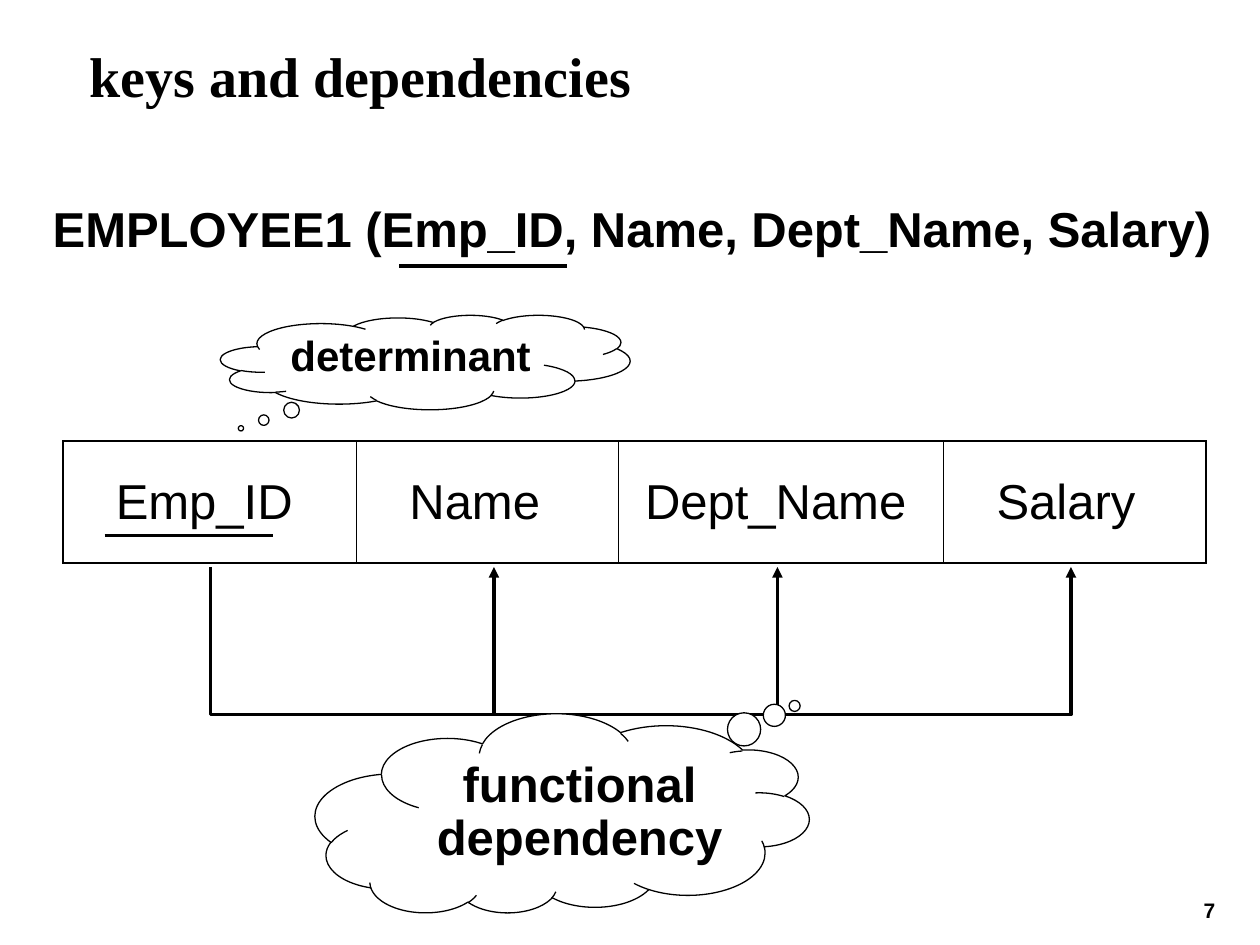
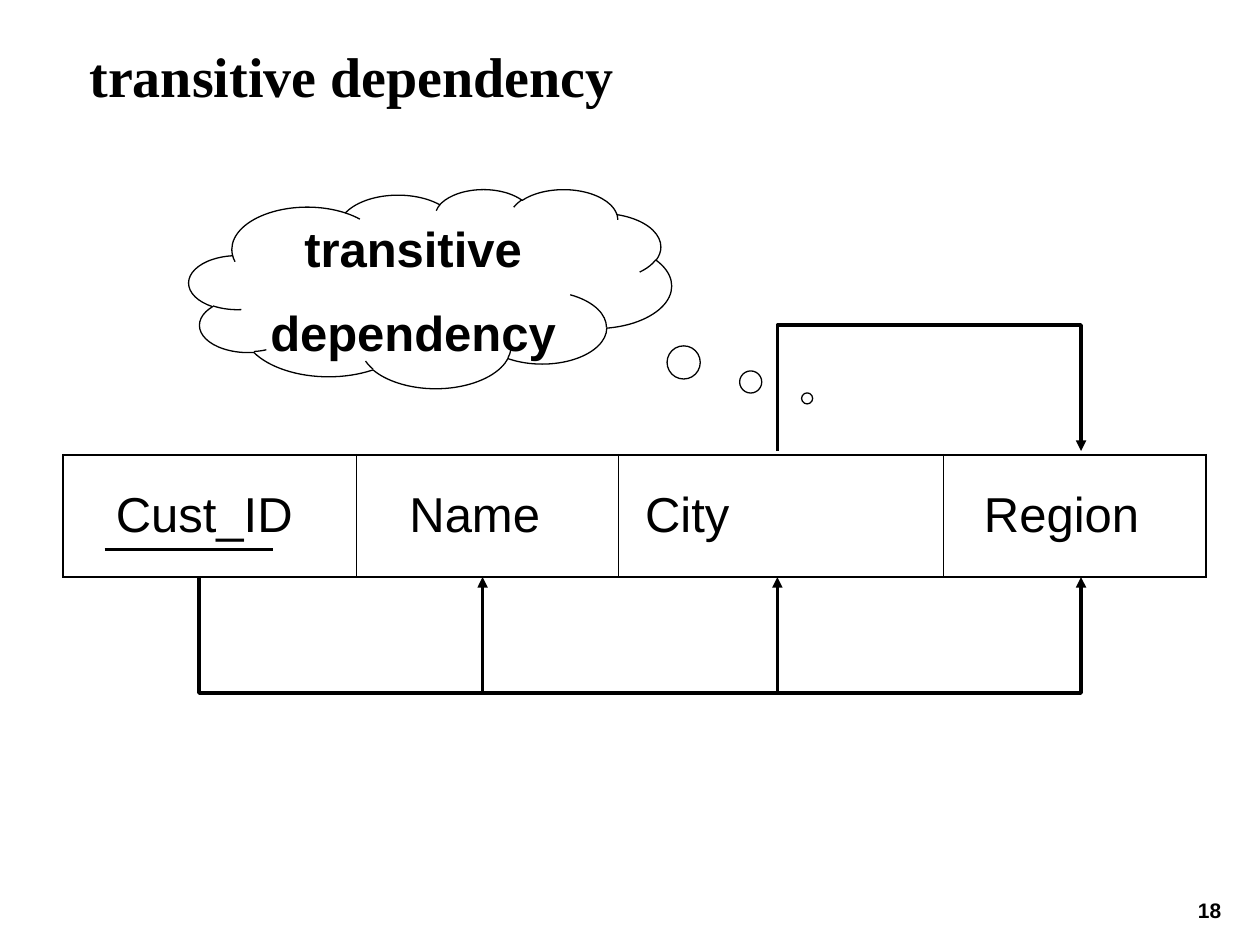
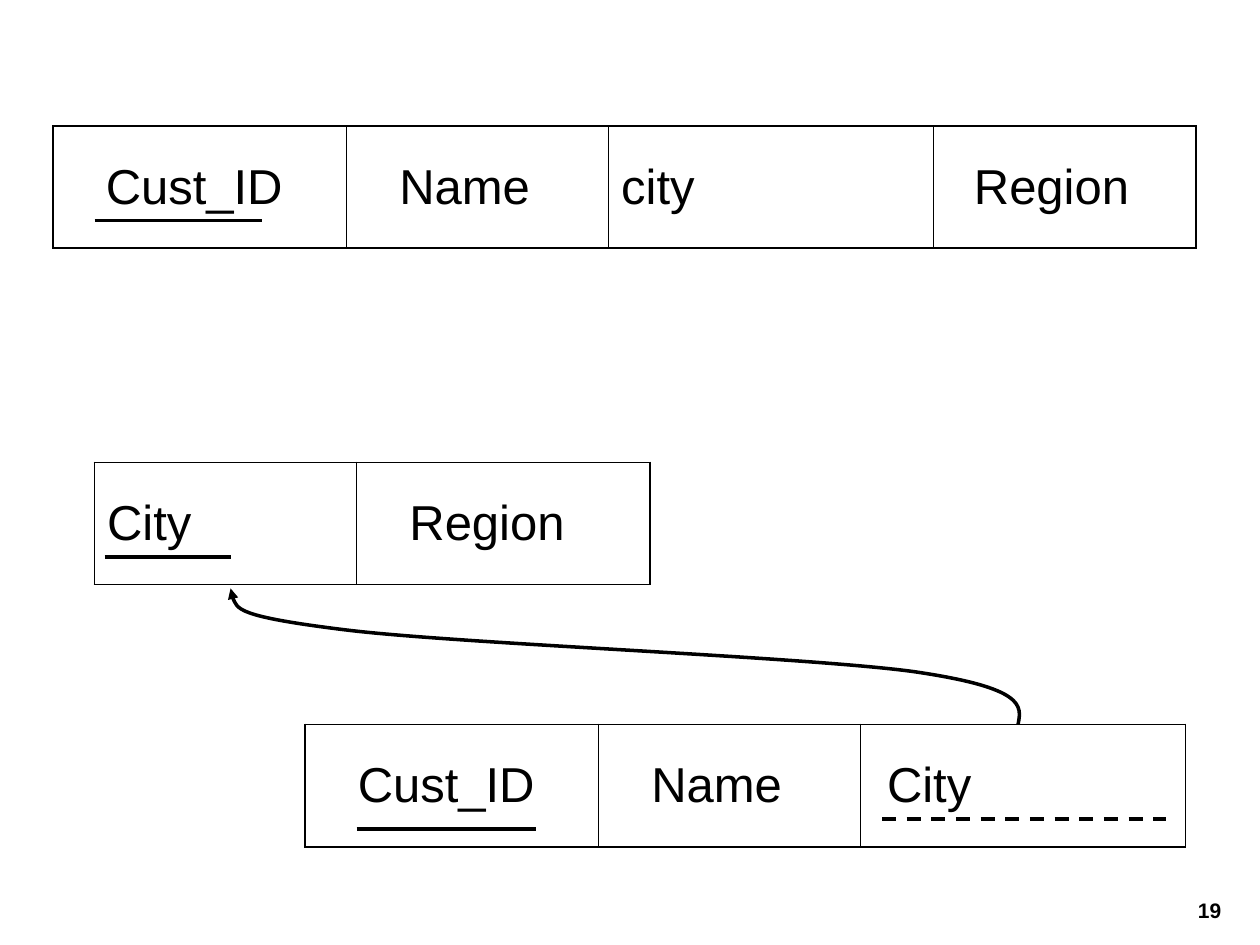
from dataclasses import dataclass

from pptx import Presentation
from pptx.dml.color import RGBColor
from pptx.enum.dml import MSO_LINE
from pptx.enum.shapes import MSO_CONNECTOR, MSO_SHAPE
from pptx.enum.text import MSO_ANCHOR as Anchor, PP_ALIGN as Align
from pptx.oxml.ns import qn
from pptx.oxml.xmlchemy import OxmlElement
from pptx.util import Inches, Pt


@dataclass(frozen=True)
class Theme:
    ink: RGBColor = RGBColor(0x00, 0x00, 0x00)
    paper: RGBColor = RGBColor(0xFF, 0xFF, 0xFF)
    body_font: str = "Arial"
    title_font: str = "Times New Roman"
    title: int = 32
    body: int = 28
    small_cloud: int = 24
    number: int = 12
    rule: float = 2
    cloud_line: float = 0.75
    outer_border: float = 1.08
    inner_border: float = 0.45


THEME = Theme()
PAD = (0.1, 0.05, 0.1, 0.05)
ROW_HEIGHT = 0.97
KEY, NAME, CITY, REGION = 2.33, 2.08, 2.58, 2.08  # column widths
DEEP, MIDDLE, SHALLOW, FLUSH = 0.32, 0.22, 0.11, 0  # label indents

# Content. Relations: left, top, columns of (label, indent, width)
# Rules: x from, x to, y, dashed
# Dependencies: determinant x, dependent xs, y of the row edge, y of the bus
# Clouds: box, bubble position, turn, size, lines
SLIDES = [
    dict(
        number="7",
        title="keys and dependencies",
        schema="EMPLOYEE1 (Emp_ID, Name, Dept_Name, Salary)",
        relations=[(0.5, 3.5, [("Emp_ID", DEEP, KEY), ("Name", DEEP, NAME),
                               ("Dept_Name", SHALLOW, CITY), ("Salary", DEEP, REGION)])],
        rules=[(3.17, 4.5, 2.11, False), (0.83, 2.17, 4.25, False)],
        dependencies=[(1.67, [3.92, 6.17, 8.5], 4.5, 5.67)],
        clouds=[
            ((2.5, 5.67, 3.92, 1.58), (-0.471, 0.543), 180, THEME.body,
             ["functional dependency"]),
            ((1.75, 2.5, 3.25, 0.75), (-0.45, 0.699), 0, THEME.small_cloud,
             ["determinant"]),
        ],
    ),
    dict(
        number="18",
        title="transitive dependency",
        relations=[(0.5, 3.61, [("Cust_ID", DEEP, KEY), ("Name", DEEP, NAME),
                                ("City", SHALLOW, CITY), ("Region", MIDDLE, REGION)])],
        rules=[(0.83, 2.17, 4.36, False)],
        dependencies=[(1.58, [3.83, 6.17, 8.58], 4.58, 5.5),
                      (6.17, [8.58], 3.58, 2.58)],
        clouds=[((1.5, 1.5, 3.83, 1.58), (0.781, 0.552), 0, THEME.body,
                 ["transitive", "dependency"])],
    ),
    dict(
        number="19",
        relations=[
            (2.42, 5.75, [("Cust_ID", DEEP, KEY), ("Name", DEEP, NAME),
                          ("City", SHALLOW, CITY)]),
            (0.75, 3.67, [("City", FLUSH, 2.08), ("Region", DEEP, 2.33)]),
            (0.42, 1, [("Cust_ID", DEEP, KEY), ("Name", DEEP, NAME),
                       ("city", FLUSH, CITY), ("Region", MIDDLE, REGION)]),
        ],
        rules=[(2.83, 4.25, 6.58, False), (7, 9.25, 6.5, True),
               (0.83, 1.83, 4.42, False), (0.75, 2.08, 1.75, False)],
        # Foreign key to primary key: start, then three points per curve
        reference=[(8.08, 5.75),
                   (8.11, 5.6), (8.14, 5.46), (7.25, 5.33),
                   (6.36, 5.21), (3.65, 5.11), (2.75, 5),
                   (1.85, 4.89), (1.84, 4.78), (1.83, 4.67)],
    ),
]


def write(frame, lines, *, size=THEME.body, font=THEME.body_font, bold=True,
          align=Align.CENTER, spacing=0.9, before=0.0, pad=PAD, anchor=Anchor.TOP):
    frame.word_wrap = True
    frame.vertical_anchor = anchor
    (frame.margin_left, frame.margin_top,
     frame.margin_right, frame.margin_bottom) = map(Inches, pad)
    for i, line in enumerate(lines):
        para = frame.add_paragraph() if i else frame.paragraphs[0]
        para.alignment, para.line_spacing = align, spacing
        para.space_before = Pt(before)
        run = para.add_run()
        run.text = line
        run.font.name, run.font.size, run.font.bold = font, Pt(size), bold
        run.font.color.rgb = THEME.ink


def add_text(slide, box, text, **style):
    write(slide.shapes.add_textbox(*map(Inches, box)).text_frame, [text], **style)


def ink_line(line, width=THEME.rule, dashed=False, arrow=False):
    line.color.rgb = THEME.ink
    line.width = Pt(width)
    if dashed:
        line.dash_style = MSO_LINE.DASH
    if arrow:
        tip = OxmlElement("a:tailEnd")
        tip.set("type", "triangle")
        line._get_or_add_ln().append(tip)


def add_rule(slide, start, end, **style):
    rule = slide.shapes.add_connector(MSO_CONNECTOR.STRAIGHT, *map(Inches, start + end))
    ink_line(rule.line, **style)
    rule._element.spPr.append(OxmlElement("a:effectLst"))


def add_arrow_path(slide, points, curved=False):
    corners = [(Inches(x), Inches(y)) for x, y in points]
    builder = slide.shapes.build_freeform(*corners[0])
    builder.add_line_segments(corners[1:], close=False)
    arrow = builder.convert_to_shape()
    if curved:
        steps = list(arrow._element.iter(qn("a:lnTo")))
        for i in range(0, len(steps), 3):
            bend = OxmlElement("a:cubicBezTo")
            steps[i].addprevious(bend)
            for step in steps[i:i + 3]:
                bend.append(step[0])
                step.getparent().remove(step)
    arrow.shadow.inherit = False
    arrow.fill.background()
    ink_line(arrow.line, arrow=True)


def add_dependency(slide, source, targets, edge, bus):
    last = targets[-1]
    add_arrow_path(slide, [(source, edge), (source, bus), (last, bus), (last, edge)])
    for x in targets[:-1]:
        add_rule(slide, (x, bus), (x, edge), arrow=True)


def set_borders(cell, first, last):
    outer, inner = THEME.outer_border, THEME.inner_border
    sides = [("L", outer if first else inner), ("R", outer if last else inner),
             ("T", outer), ("B", outer)]
    props = cell._tc.get_or_add_tcPr()
    for i, (side, width) in enumerate(sides):
        border = OxmlElement(f"a:ln{side}")
        border.set("w", str(Pt(width)))
        fill = OxmlElement("a:solidFill")
        color = OxmlElement("a:srgbClr")
        color.set("val", str(THEME.ink))
        fill.append(color)
        border.append(fill)
        props.insert(i, border)


def add_relation(slide, left, top, columns):
    width = sum(column[2] for column in columns)
    relation = slide.shapes.add_table(
        1, len(columns), *map(Inches, (left, top, width, ROW_HEIGHT))).table
    relation.first_row = relation.horz_banding = False
    for i, (label, indent, column_width) in enumerate(columns):
        relation.columns[i].width = Inches(column_width)
        cell = relation.cell(0, i)
        cell.fill.solid()
        cell.fill.fore_color.rgb = THEME.paper
        write(cell.text_frame, [label], bold=False, align=Align.LEFT,
              spacing=1.0, before=7)
        cell.vertical_anchor = Anchor.MIDDLE
        cell.margin_left, cell.margin_right = Inches(PAD[0] + indent), Inches(PAD[2])
        cell.margin_top, cell.margin_bottom = Inches(PAD[1]), Inches(PAD[3])
        set_borders(cell, i == 0, i == len(columns) - 1)


def add_cloud(slide, box, bubbles, turn, size, lines):
    cloud = slide.shapes.add_shape(MSO_SHAPE.CLOUD_CALLOUT, *map(Inches, box))
    cloud.adjustments[0], cloud.adjustments[1] = bubbles
    cloud.shadow.inherit = False
    cloud.fill.solid()
    cloud.fill.fore_color.rgb = THEME.paper
    ink_line(cloud.line, THEME.cloud_line)
    write(cloud.text_frame, lines, size=size, before=size * 0.625)
    if turn:  # counter-turn the text so it stays upright
        cloud.rotation = turn
        cloud.text_frame._txBody.bodyPr.set("rot", str(turn * 60000))


deck = Presentation()
deck.slide_width, deck.slide_height = Inches(10), Inches(7.5)

for content in SLIDES:
    slide = deck.slides.add_slide(deck.slide_layouts[6])
    # Page number, title and schema
    add_text(slide, (9.35, 7.1, 0.5, 0.28), content["number"],
             size=THEME.number, before=7.5)
    if "title" in content:
        add_text(slide, (0.71, 0.33, 8.29, 1.03), content["title"], size=THEME.title,
                 font=THEME.title_font, align=Align.LEFT, spacing=1.0, pad=(0, 0, 0, 0))
    if "schema" in content:  # no side padding, so the line fits the box
        add_text(slide, (0.32, 1.58, 9.39, 0.52), content["schema"],
                 before=17.5, pad=(0, 0.05, 0, 0.05))
    # Relations and key underlines
    for relation in content["relations"]:
        add_relation(slide, *relation)
    for x1, x2, y, dashed in content["rules"]:
        add_rule(slide, (x1, y), (x2, y), dashed=dashed)
    # Dependencies, references and remarks
    for dependency in content.get("dependencies", []):
        add_dependency(slide, *dependency)
    if "reference" in content:
        add_arrow_path(slide, content["reference"], curved=True)
    for cloud in content.get("clouds", []):
        add_cloud(slide, *cloud)

deck.save("out.pptx")
